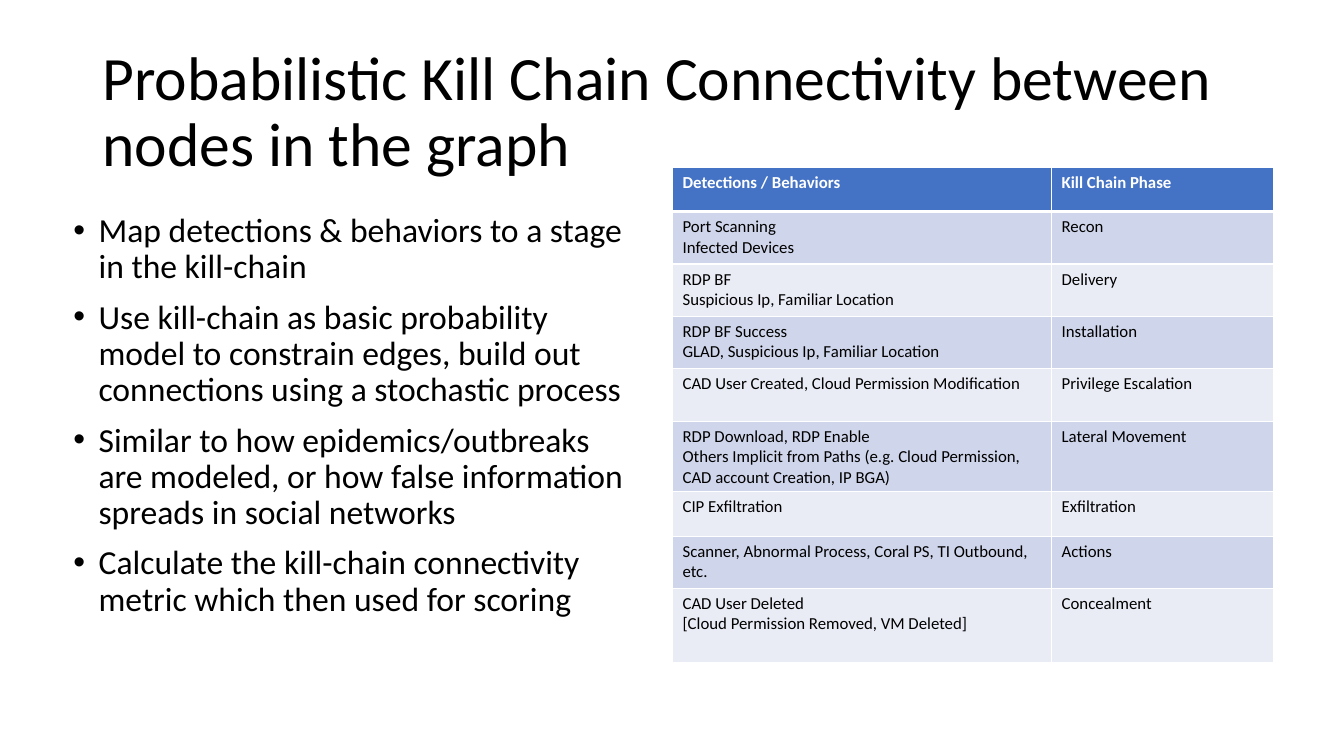
from lxml import etree
from pptx import Presentation
from pptx.dml.color import RGBColor
from pptx.enum.text import MSO_ANCHOR
from pptx.oxml.ns import qn
from pptx.util import Inches, Pt

MIDDLE = MSO_ANCHOR.MIDDLE
TOP = MSO_ANCHOR.TOP
FONT = "Calibri"
BLACK, WHITE = "000000", "FFFFFF"
HEADER_FILL = "4472C4"
BAND_FILLS = ("E9EBF5", "CFD5EA")

TITLE = "Probabilistic Kill Chain Connectivity between nodes in the graph"
BULLETS = [
    "Map detections & behaviors to a stage in the kill-chain",
    "Use kill-chain as basic probability model to constrain edges, "
    "build out connections using a stochastic process",
    "Similar to how epidemics/outbreaks are modeled, "
    "or how false information spreads in social networks",
    "Calculate the kill-chain connectivity metric which then used for scoring",
]
# Row height in inches, detections, phase
PHASES = [
    (0.44, "Detections / Behaviors", "Kill Chain Phase"),
    (0.52, "Port Scanning\nInfected Devices", "Recon"),
    (0.52, "RDP BF\nSuspicious Ip, Familiar Location", "Delivery"),
    (0.52, "RDP BF Success\nGLAD, Suspicious Ip, Familiar Location", "Installation"),
    (0.52, "CAD User Created, Cloud Permission Modification", "Privilege Escalation"),
    (0.59, "RDP Download, RDP Enable\nOthers Implicit from Paths "
           "(e.g. Cloud Permission, CAD account Creation, IP BGA)", "Lateral Movement"),
    (0.44, "CIP Exfiltration", "Exfiltration"),
    (0.52, "Scanner, Abnormal Process, Coral PS, TI Outbound, etc.", "Actions"),
    (0.74, "CAD User Deleted\n[Cloud Permission Removed, VM Deleted]", "Concealment"),
]
COLUMN_WIDTHS = (3.76, 2.2)


def write(frame, text, size, color, bold=False):
    frame.text = text
    frame.word_wrap = True
    for para in frame.paragraphs:
        for span in para.runs:
            span.font.name = FONT
            span.font.size = Pt(size)
            span.font.bold = bold
            span.font.color.rgb = RGBColor.from_string(color)


def add_border(cell, side, width):
    """Draw one white cell edge; call before the cell gets its fill."""
    line = etree.SubElement(cell._tc.get_or_add_tcPr(), qn(f"a:ln{side}"), w=str(Pt(width)))
    fill = etree.SubElement(line, qn("a:solidFill"))
    etree.SubElement(fill, qn("a:srgbClr"), val=WHITE)


deck = Presentation()
deck.slide_width, deck.slide_height = Inches(13.33), Inches(7.5)
page = deck.slides.add_slide(deck.slide_layouts[6])

# Title
title = page.shapes.add_textbox(Inches(0.92), Inches(0.4), Inches(11.5), Inches(1.45)).text_frame
write(title, TITLE, 44, BLACK)
title.vertical_anchor = MIDDLE
title.paragraphs[0].line_spacing = 0.9

# Bullets
body = page.shapes.add_textbox(Inches(0.63), Inches(2.07), Inches(5.67), Inches(4.76)).text_frame
write(body, "\n".join(BULLETS), 24, BLACK)
body.vertical_anchor = TOP
for para in body.paragraphs:
    para.line_spacing = 0.9
    para.space_before = Pt(10)
    settings = para._p.get_or_add_pPr()
    settings.set("marL", str(Inches(0.25)))
    settings.set("indent", str(-Inches(0.25)))
    etree.SubElement(settings, qn("a:buFont"), typeface="Arial")
    etree.SubElement(settings, qn("a:buChar"), char="•")

# Kill chain table
table = page.shapes.add_table(
    len(PHASES), len(COLUMN_WIDTHS), Inches(6.67), Inches(1.66),
    Inches(sum(COLUMN_WIDTHS)), Inches(sum(phase[0] for phase in PHASES))).table
for column, width in zip(table.columns, COLUMN_WIDTHS):
    column.width = Inches(width)
for row, (height, *texts) in enumerate(PHASES):
    table.rows[row].height = Inches(height)
    header = row == 0
    for column, text in enumerate(texts):
        cell = table.cell(row, column)
        write(cell.text_frame, text, 12, WHITE if header else BLACK, header)
        for side in "LRTB":
            under_header = (row, side) in ((0, "B"), (1, "T"))
            add_border(cell, side, 3 if under_header else 1)
        cell.fill.solid()
        cell.fill.fore_color.rgb = RGBColor.from_string(HEADER_FILL if header else BAND_FILLS[row % 2])

deck.save("out.pptx")
